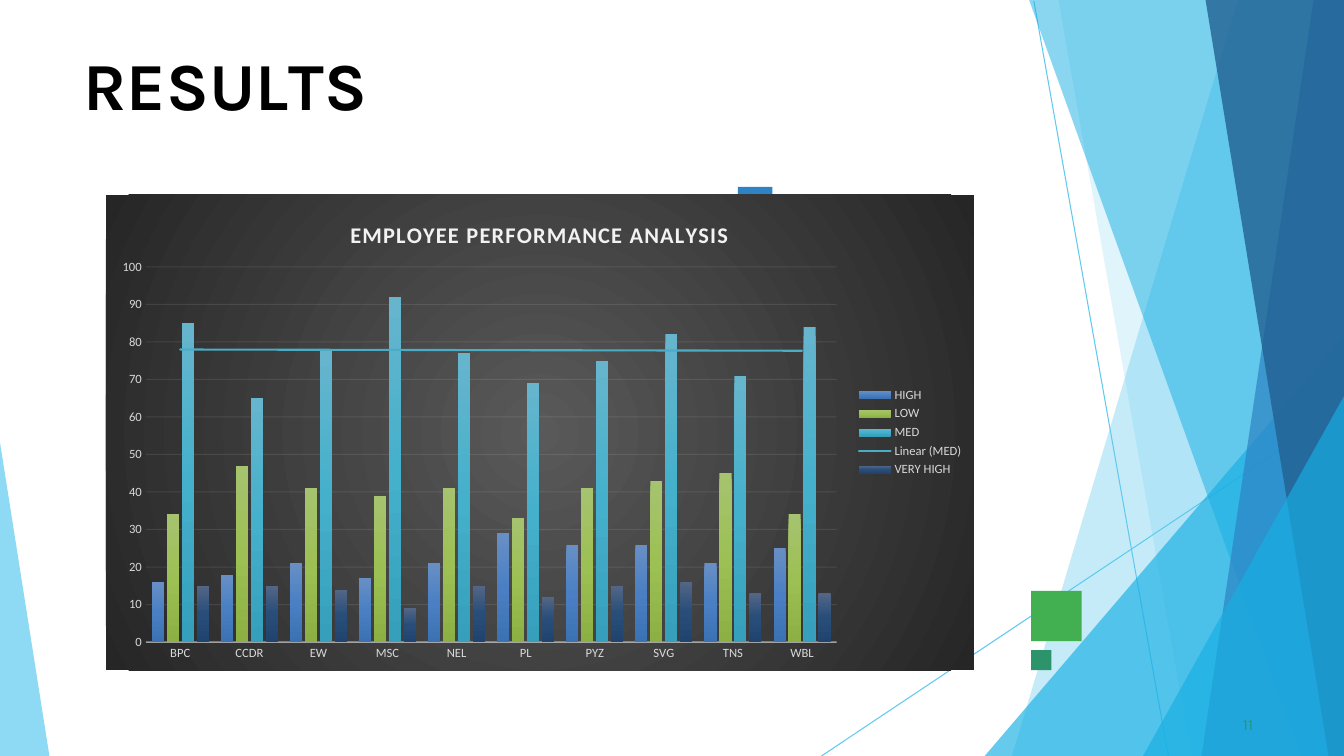
from lxml import etree
from pptx import Presentation
from pptx.chart.data import CategoryChartData
from pptx.dml.color import RGBColor
from pptx.enum.chart import XL_CHART_TYPE, XL_LEGEND_POSITION, XL_TICK_MARK
from pptx.enum.shapes import MSO_CONNECTOR, MSO_SHAPE
from pptx.enum.text import MSO_ANCHOR, PP_ALIGN
from pptx.oxml import parse_xml
from pptx.oxml.ns import nsdecls, qn
from pptx.util import Pt

COLUMNS = XL_CHART_TYPE.COLUMN_CLUSTERED
LEGEND_RIGHT = XL_LEGEND_POSITION.RIGHT
NO_TICK = XL_TICK_MARK.NONE
STRAIGHT = MSO_CONNECTOR.STRAIGHT
RECTANGLE = MSO_SHAPE.RECTANGLE
TOP = MSO_ANCHOR.TOP
LEFT = PP_ALIGN.LEFT

WIDTH, HEIGHT = 960, 540
THEME = {
    "sky": "5FCAEE", "cyan": "17AFE3", "blue": "2D83C3", "navy": "226192",
    "green": "42AF51", "teal": "2D936B", "black": "000000",
    "chart_text": "D9D9D9", "chart_light": "F2F2F2", "trend": "4BACC6",
    "backdrop": ["595959", "262626"],
    "heading_font": "Karla", "chart_font": "Calibri",
    "title_size": 48, "number_size": 11, "chart_title_size": 16, "label_size": 9,
}

TITLE_SPANS = [("R", 0), ("E", -0.4), ("S", 0.1), ("U", -0.3), ("L", -4), ("TS", 0)]
TITLE_BOX = (59.8, 30.2, 286.6, 48.2)
PAGE_NUMBER = "11"
NUMBER_BOX = (887.8, 509.8, 18, 11.5)

CHART_TITLE = "EMPLOYEE PERFORMANCE ANALYSIS"
CHART_BOX = (75.6, 139, 620, 339.8)
PLOT_AREA = {"x": 0.046, "y": 0.152, "w": 0.796, "h": 0.789}
TITLE_PLACE = {"x": 0.277, "y": 0.045}
TEAMS = ["BPC", "CCDR", "EW", "MSC", "NEL", "PL", "PYZ", "SVG", "TNS", "WBL"]
RATINGS = [
    ("HIGH", (16, 18, 21, 17, 21, 29, 26, 26, 21, 25), ["688FC5", "4A80C3", "3B72B3"]),
    ("LOW", (34, 47, 41, 39, 41, 33, 41, 43, 45, 34), ["A6C36F", "9DC054", "8DB045"]),
    ("MED", (85, 65, 78, 92, 77, 69, 75, 82, 71, 84), ["66B5CD", "45B0CC", "36A0BC"]),
    ("VERY HIGH", (15, 15, 14, 9, 15, 12, 15, 16, 13, 13), ["536686", "284D79", "20446E"]),
]
TREND_RATING = "MED"

RAYS = [(738.5, 0.7, 834.5, HEIGHT), (WIDTH, 290.9, 586.8, HEIGHT)]
RIGHT_FOOT = (WIDTH, HEIGHT)
FACETS = [
    ("sky", 36, [(WIDTH, 0), (884.2, 0), (722.9, HEIGHT), RIGHT_FOOT]),
    ("sky", 20, [(WIDTH, 0), (756, 0), (851, HEIGHT), RIGHT_FOOT]),
    ("cyan", 66, [(WIDTH, 239.8), (703.4, HEIGHT), RIGHT_FOOT]),
    ("cyan", 50, [(WIDTH, 0), (735.1, 0), (929.5, HEIGHT), RIGHT_FOOT]),
    ("blue", 70, [(WIDTH, 0), (938.2, 0), (858.2, HEIGHT), RIGHT_FOOT]),
    ("navy", 80, [(WIDTH, 0), (861.1, 0), (949, HEIGHT), RIGHT_FOOT]),
    ("cyan", 66, [(WIDTH, 283), (816.5, HEIGHT), RIGHT_FOOT]),
    ("sky", 70, [(0, 316.1), (0, HEIGHT), (35.3, HEIGHT)]),
]
SQUARES = [
    ("green", (736.6, 422, 36, 36)),
    ("blue", (527, 133.4, 24.8, 25.2)),
    ("teal", (736.6, 464.4, 14.4, 14.4)),
]


def points(values):
    return [Pt(value) for value in values]


def apply(target, values):
    for name, value in values.items():
        setattr(target, name, value)


def paint(fill, color, opacity=100):
    fill.solid()
    fill.fore_color.rgb = RGBColor.from_string(color)
    if opacity < 100:
        tint = fill._xPr.find(".//" + qn("a:srgbClr"))
        etree.SubElement(tint, qn("a:alpha"), val=str(opacity * 1000))


def style_font(font, face, size, color, bold=False):
    apply(font, {"name": face, "size": Pt(size), "bold": bold})
    paint(font.fill, color)


def set_tracking(span, spacing):
    span.font._element.set("spc", str(round(spacing * 100)))


def gradient(colors, direction):
    step = 100000 // (len(colors) - 1)
    stops = "".join(
        f'<a:gs pos="{index * step}"><a:srgbClr val="{color}"/></a:gs>'
        for index, color in enumerate(colors)
    )
    return f"<a:gradFill><a:gsLst>{stops}</a:gsLst>{direction}</a:gradFill>"


def chart_fill(colors, direction):
    return parse_xml(f'<c:spPr {nsdecls("c", "a")}>{gradient(colors, direction)}'
                     "<a:ln><a:noFill/></a:ln></c:spPr>")


def manual_layout(place, target=""):
    modes = "".join(f'<c:{axis}Mode val="edge"/>' for axis in "xy")
    sizes = "".join(f'<c:{name} val="{value}"/>' for name, value in place.items())
    return parse_xml(f'<c:layout {nsdecls("c")}><c:manualLayout>{target}{modes}{sizes}'
                     "</c:manualLayout></c:layout>")


def draw_backdrop(page):
    for ray in RAYS:
        line = page.shapes.add_connector(STRAIGHT, *points(ray))
        line.line.width = Pt(0.75)
        paint(line.line.fill, THEME["sky"])
        etree.SubElement(line._element.spPr, qn("a:effectLst"))
    shapes = []
    for color, opacity, corners in FACETS:
        start, *others = [points(corner) for corner in corners]
        builder = page.shapes.build_freeform(*start)
        builder.add_line_segments(others)
        shapes.append((builder.convert_to_shape(), color, opacity))
    for color, box in SQUARES:
        shapes.append((page.shapes.add_shape(RECTANGLE, *points(box)), color, 100))
    for shape, color, opacity in shapes:
        shape.shadow.inherit = False
        shape.line.fill.background()
        paint(shape.fill, THEME[color], opacity)


def write_text(box, place, spans, size, color, bold=False):
    apply(box, dict(zip(("left", "top", "width", "height"), points(place))))
    frame = box.text_frame
    apply(frame, {"margin_left": 0, "margin_right": 0, "margin_top": Pt(0.7),
                  "margin_bottom": 0, "word_wrap": True, "vertical_anchor": TOP})
    para = frame.paragraphs[0]
    apply(para, {"alignment": LEFT, "space_before": Pt(1)})
    for text, spacing in spans:
        span = para.add_run()
        span.text = text
        style_font(span.font, THEME["heading_font"], size, THEME[color], bold)
        set_tracking(span, spacing)


def style_axes(chart):
    for axis in (chart.category_axis, chart.value_axis):
        apply(axis, {"major_tick_mark": NO_TICK, "minor_tick_mark": NO_TICK})
        style_font(axis.tick_labels.font, THEME["chart_font"], THEME["label_size"],
                   THEME["chart_text"])
    base = chart.category_axis.format.line
    base.width = Pt(1)
    paint(base.fill, THEME["chart_light"], 54)
    values = chart.value_axis
    apply(values, {"minimum_scale": 0, "maximum_scale": 100, "major_unit": 10})
    values.format.line.fill.background()
    grid = values.major_gridlines.format.line
    grid.width = Pt(0.75)
    paint(grid.fill, THEME["chart_light"], 10)


def add_trend(series):
    trend = parse_xml(
        f'<c:trendline {nsdecls("c", "a")}><c:spPr><a:ln w="{Pt(1.5)}" cap="rnd"><a:solidFill>'
        f'<a:srgbClr val="{THEME["trend"]}"/></a:solidFill></a:ln></c:spPr>'
        '<c:trendlineType val="linear"/><c:dispRSqr val="0"/><c:dispEq val="0"/></c:trendline>')
    series._element.find(qn("c:cat")).addprevious(trend)


def draw_chart(page):
    data = CategoryChartData()
    data.categories = TEAMS
    for name, scores, _ in RATINGS:
        data.add_series(name, scores)
    chart = page.shapes.add_chart(COLUMNS, *points(CHART_BOX), data).chart
    style_font(chart.font, THEME["chart_font"], 10, THEME["black"])
    plot = chart.plots[0]
    apply(plot, {"gap_width": 100, "overlap": -24, "vary_by_categories": False})
    for series, (name, _, colors) in zip(plot.series, RATINGS):
        spare = series._element.get_or_add_spPr()
        spare.getparent().replace(spare, chart_fill(colors, '<a:lin ang="5400000" scaled="0"/>'))
        if name == TREND_RATING:
            add_trend(series)
    style_axes(chart)

    chart.has_legend = True
    apply(chart.legend, {"position": LEGEND_RIGHT, "include_in_layout": False})
    style_font(chart.legend.font, THEME["chart_font"], THEME["label_size"], THEME["chart_text"])

    chart.has_title = True
    span = chart.chart_title.text_frame.paragraphs[0].add_run()
    span.text = CHART_TITLE
    style_font(span.font, THEME["chart_font"], THEME["chart_title_size"],
               THEME["chart_light"], True)
    set_tracking(span, 1)

    title = chart.chart_title._element
    for old in title.findall(qn("c:layout")):
        title.remove(old)
    title.find(qn("c:tx")).addnext(manual_layout(TITLE_PLACE))
    area = chart._chartSpace.chart.plotArea
    for old in area.findall(qn("c:layout")):
        area.remove(old)
    area.insert(0, manual_layout(PLOT_AREA, '<c:layoutTarget val="inner"/>'))
    center = '<a:fillToRect l="50000" t="50000" r="50000" b="50000"/>'
    chart._chartSpace.chart.addnext(
        chart_fill(THEME["backdrop"], f'<a:path path="circle">{center}</a:path>'))


def main():
    deck = Presentation()
    apply(deck, {"slide_width": Pt(WIDTH), "slide_height": Pt(HEIGHT)})
    page = deck.slides.add_slide(deck.slide_layouts[5])
    draw_backdrop(page)
    write_text(page.shapes.title, TITLE_BOX, TITLE_SPANS, THEME["title_size"], "black", True)
    number = page.shapes.add_textbox(*points(NUMBER_BOX))
    write_text(number, NUMBER_BOX, [(PAGE_NUMBER, 0.1)], THEME["number_size"], "teal")
    draw_chart(page)
    deck.save("out.pptx")


if __name__ == "__main__":
    main()
